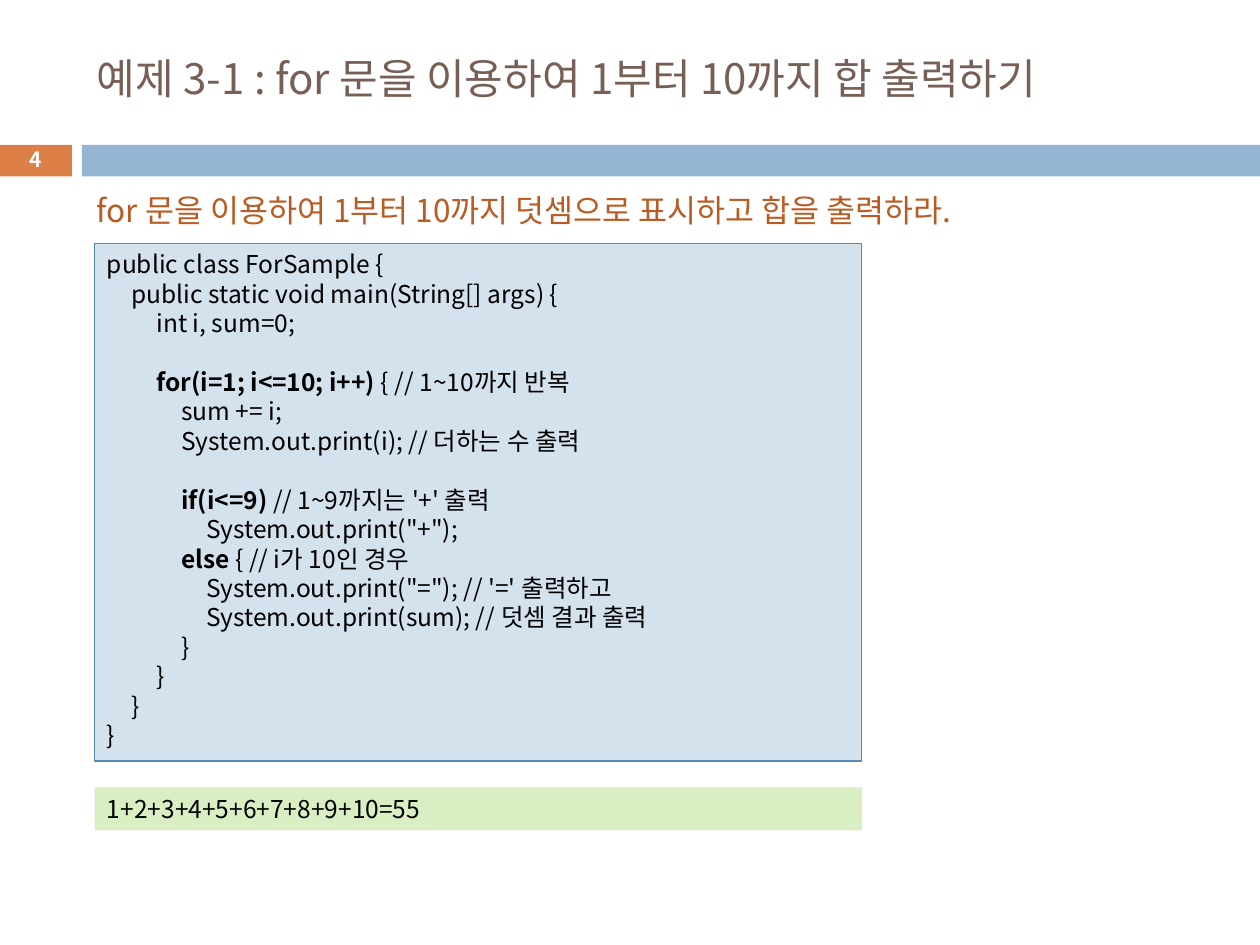
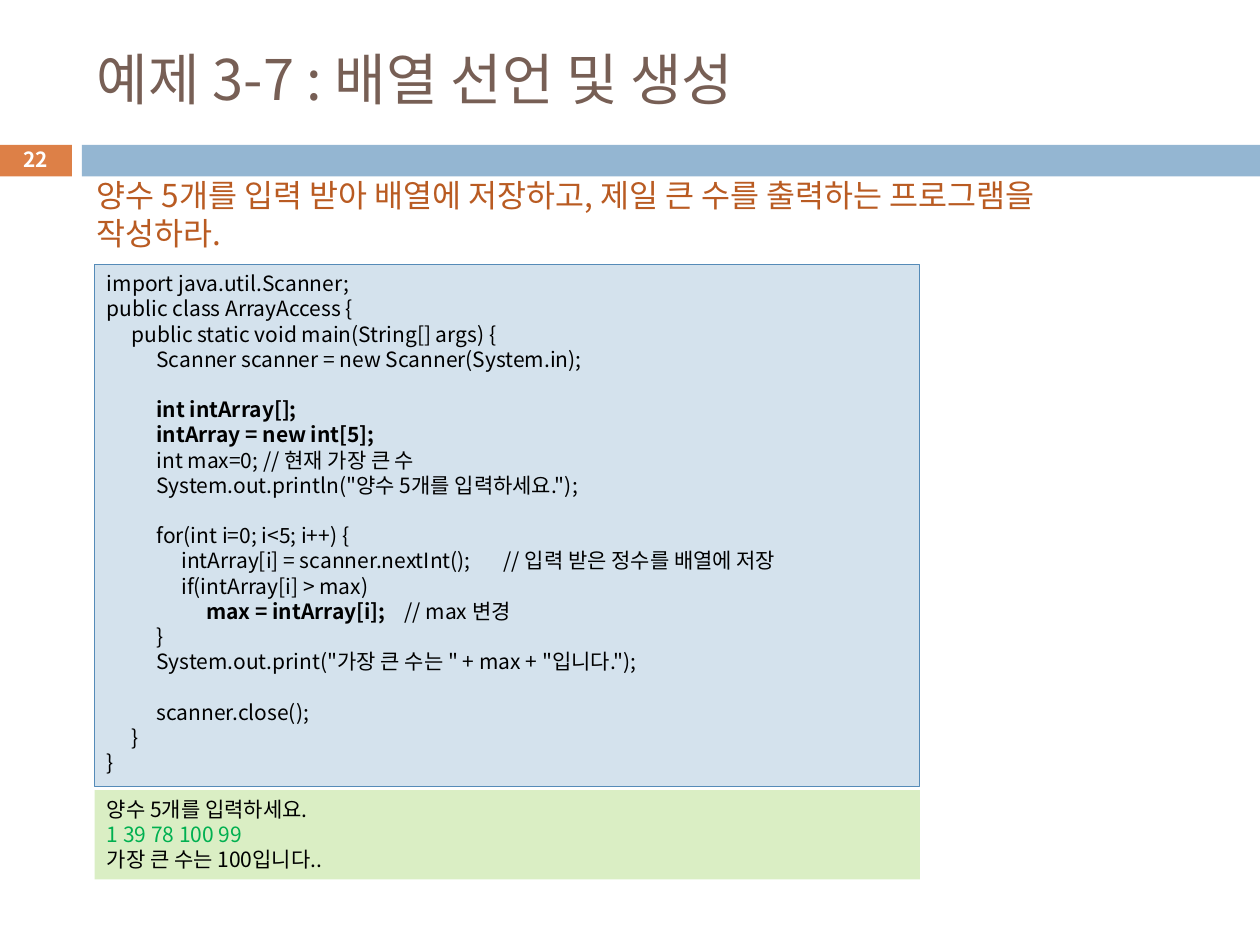
from dataclasses import dataclass, field
from lxml.etree import SubElement
from pptx import Presentation
from pptx.dml.color import RGBColor
from pptx.enum.shapes import MSO_SHAPE as Shape
from pptx.enum.text import MSO_ANCHOR as Anchor, PP_ALIGN as Align
from pptx.oxml.ns import qn
from pptx.util import Cm, Inches, Pt

FONT = "Noto Sans CJK KR"
INK = {
    "title": "775F55", "task": "B95B22", "code": "000000", "input": "00B050",
    "tag": "DD8047", "band": "94B6D2", "panel": "D4E2ED", "edge": "558BB8",
    "result": "DAEEC4", "number": "FFFFFF",
}

# Grid: 100 columns by 75 rows
WIDE, HIGH = Inches(10), Inches(7.5)
COL, ROW = WIDE // 100, HIGH // 75
TAB, STOPS = Cm(0.5), 16
LEAD = 1.2  # line pitch as a share of the text size


@dataclass
class Area:
    x: float
    y: float
    w: float
    h: float

    def spots(self) -> list[int]:
        return [round(n) for n in
                (self.x * COL, self.y * ROW, self.w * COL, self.h * ROW)]


@dataclass
class Style:
    size: float
    ink: str = "code"
    bold: bool = False
    align: Align = Align.LEFT
    anchor: Anchor = Anchor.TOP
    wrap: bool = True
    tints: dict[int, str] = field(default_factory=dict)  # line index: ink


@dataclass
class Page:
    number: int
    title: str
    title_size: int
    task: str
    task_area: Area
    task_wrap: bool
    size: int  # text size of code and result
    code: str  # *bold*, four spaces per level, an empty line is a gap
    code_area: Area
    result: str
    result_area: Area
    tints: dict[int, str] = field(default_factory=dict)


TITLE = Area(6.7, 2.5, 89.2, 7.4)
TAG = Area(-0.1, 11.5, 5.8, 2.5)
BAND = Area(6.5, 11.5, 93.5, 2.5)
NUMBER = Area(-0.1, 11.3, 5.8, 2.7)

PAGES = [
    Page(
        4, "예제 3-1 : for 문을 이용하여 1부터 10까지 합 출력하기", 24,
        "for 문을 이용하여 1부터 10까지 덧셈으로 표시하고 합을 출력하라.",
        Area(6.7, 14.7, 75.9, 4), False, 14,
        """public class ForSample {
    public static void main(String[] args) {
        int i, sum=0;

        *for(i=1; i<=10; i++)* { // 1~10까지 반복
            sum += i;
            System.out.print(i); // 더하는 수 출력

            *if(i<=9) *// 1~9까지는 '+' 출력
                System.out.print("+");
            *else* { // i가 10인 경우
                System.out.print("="); // '=' 출력하고
                System.out.print(sum); // 덧셈 결과 출력
            }
        }
    }
}""",
        Area(7.5, 19.3, 60.9, 41.1),
        "1+2+3+4+5+6+7+8+9+10=55", Area(7.5, 62.5, 60.9, 3.4)),
    Page(
        22, "예제 3-7 : 배열 선언 및 생성", 32,
        "양수 5개를 입력 받아 배열에 저장하고, 제일 큰 수를 출력하는 프로그램을 작성하라.",
        Area(6.7, 13.5, 85.5, 7.1), True, 12,
        """import java.util.Scanner;
public class ArrayAccess {
    public static void main(String[] args) {
        Scanner scanner = new Scanner(System.in);

        *int intArray[];*
        *intArray = new int[5];*
        int max=0; // 현재 가장 큰 수
        System.out.println("양수 5개를 입력하세요.");

        for(int i=0; i<5; i++) {
            intArray[i] = scanner.nextInt(); \t\t// 입력 받은 정수를 배열에 저장
            if(intArray[i] > max)
                *max = intArray[i];* \t// max 변경
        }
        System.out.print("가장 큰 수는 " + max + "입니다.");

        scanner.close();
    }
}""",
        Area(7.5, 21, 65.5, 41.4),
        "양수 5개를 입력하세요.\n1 39 78 100 99\n가장 큰 수는 100입니다..",
        Area(7.5, 62.7, 65.5, 7.1), {1: "input"}),
]


def tone(name: str) -> RGBColor:
    return RGBColor.from_string(INK[name])


def add_tabs(para) -> None:
    """Give a code line evenly spaced tab stops."""
    stops = SubElement(para._p.get_or_add_pPr(), qn("a:tabLst"))
    for n in range(1, STOPS + 1):
        SubElement(stops, qn("a:tab"), pos=str(n * TAB), algn="l")


def write(frame, text: str, style: Style) -> None:
    """Fill a text frame line by line; empty lines become space before."""
    frame.word_wrap = style.wrap
    frame.vertical_anchor = style.anchor
    pitch = Pt(style.size * LEAD)
    para, gap = frame.paragraphs[0], 0
    for i, line in enumerate(text.split("\n")):
        if not line:
            gap += pitch
            continue
        if i:
            para = frame.add_paragraph()
        para.alignment = style.align
        para.line_spacing = pitch
        para.space_before, gap = gap, 0
        body = line.lstrip(" ")
        depth = (len(line) - len(body)) // 4
        if "\t" in body or depth:
            add_tabs(para)
        for k, part in enumerate(("\t" * depth + body).split("*")):
            if not part:
                continue
            run = para.add_run()
            run.text = part
            font = run.font
            font.size, font.name = Pt(style.size), FONT
            font.bold = style.bold or k % 2 == 1
            font.color.rgb = tone(style.tints.get(i, style.ink))
            SubElement(run._r.get_or_add_rPr(), qn("a:ea"), typeface=FONT)


def add_box(slide, area: Area, fill: str, edge: str = ""):
    box = slide.shapes.add_shape(Shape.RECTANGLE, *area.spots())
    box.shadow.inherit = False
    box.fill.solid()
    box.fill.fore_color.rgb = tone(fill)
    if edge:
        box.line.color.rgb = tone(edge)
        box.line.width = Pt(0.75)
    else:
        box.line.fill.background()
    return box


def add_text(slide, area: Area, text: str, style: Style) -> None:
    write(slide.shapes.add_textbox(*area.spots()).text_frame, text, style)


def add_page(deck, page: Page) -> None:
    slide = deck.slides.add_slide(deck.slide_layouts[6])
    # Shared frame
    add_box(slide, TAG, "tag")
    add_box(slide, BAND, "band")
    add_text(slide, TITLE, page.title,
             Style(page.title_size, "title", anchor=Anchor.MIDDLE))
    add_text(slide, NUMBER, str(page.number),
             Style(11.9, "number", True, Align.CENTER, Anchor.MIDDLE))
    # Task, code and result
    add_text(slide, page.task_area, page.task,
             Style(18, "task", wrap=page.task_wrap))
    panel = add_box(slide, page.code_area, "panel", "edge")
    write(panel.text_frame, page.code, Style(page.size))
    strip = add_box(slide, page.result_area, "result")
    write(strip.text_frame, page.result, Style(page.size, tints=page.tints))


def main() -> None:
    deck = Presentation()
    deck.slide_width, deck.slide_height = WIDE, HIGH
    for page in PAGES:
        add_page(deck, page)
    deck.save("out.pptx")


if __name__ == "__main__":
    main()
